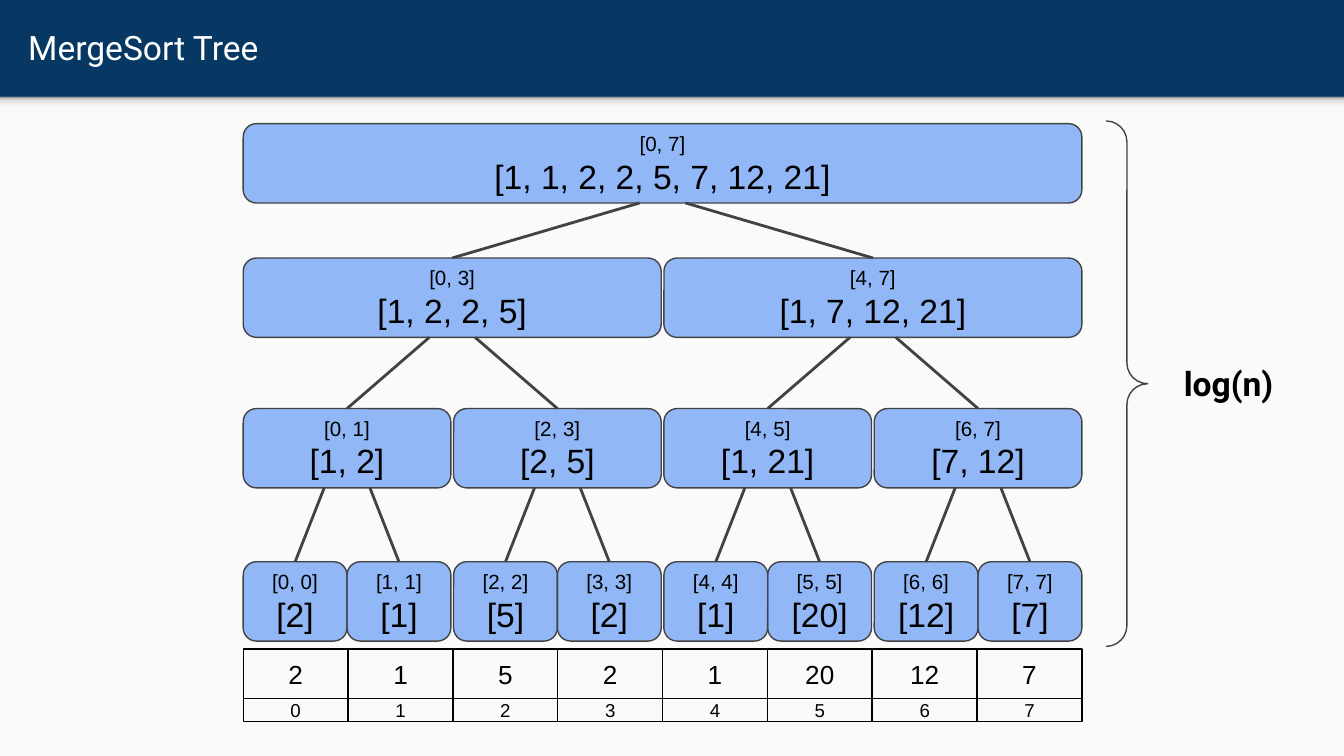
from dataclasses import dataclass

from lxml.etree import SubElement
from pptx import Presentation
from pptx.dml.color import RGBColor
from pptx.enum.shapes import MSO_CONNECTOR, MSO_SHAPE
from pptx.enum.text import MSO_ANCHOR, MSO_AUTO_SIZE, PP_ALIGN
from pptx.oxml.ns import qn
from pptx.util import Inches, Pt


@dataclass(frozen=True)
class Theme:
    header: str = "073763"
    panel: str = "FAFAFA"
    node: str = "4285F4"
    node_opacity: int = 57
    outline: str = "424242"
    text: str = "000000"
    title_text: str = "FFFFFF"
    shadow: tuple = ((0, "F9F9F9"), (36, "F9F9F9"), (80, "DEDEDE"), (100, "999999"))
    heading_font: str = "Roboto"
    body_font: str = "Arial"
    large: int = 18
    value: int = 14
    interval: int = 11
    index: int = 10
    thin: float = 0.75
    thick: float = 1.5


# Each level lists the sorted contents of its nodes, from the root to the leaves.
LEVELS = [
    (0.92, ["[1, 1, 2, 2, 5, 7, 12, 21]"]),
    (1.92, ["[1, 2, 2, 5]", "[1, 7, 12, 21]"]),
    (3.04, ["[1, 2]", "[2, 5]", "[1, 21]", "[7, 12]"]),
    (4.18, ["[2]", "[1]", "[5]", "[2]", "[1]", "[20]", "[12]", "[7]"]),
]
ARRAY = [2, 1, 5, 2, 1, 20, 12, 7]
SLIDE_WIDTH = 10
SLIDE_HEIGHT = SLIDE_WIDTH * 9 / 16
HEADER_HEIGHT = 0.72
TREE_LEFT, TREE_WIDTH = 1.81, 6.26
NODE_HEIGHT, NODE_GAP = 0.59, 0.02
EDGE_OFFSET = 0.17
CELL_WIDTH = 0.78


def write_text(shape, lines, *, font, color, bold=False,
               align=PP_ALIGN.CENTER, anchor=MSO_ANCHOR.MIDDLE, wrap=True):
    """Fill a shape with one paragraph for each (text, size) pair."""
    frame = shape.text_frame
    frame.word_wrap = wrap
    frame.vertical_anchor = anchor
    frame.margin_left = frame.margin_right = Inches(0.1)
    frame.margin_top = frame.margin_bottom = Inches(0.1)
    for number, (text, size) in enumerate(lines):
        paragraph = frame.add_paragraph() if number else frame.paragraphs[0]
        paragraph.alignment = align
        run = paragraph.add_run()
        run.text = text
        run.font.name = font
        run.font.size = Pt(size)
        run.font.bold = bold
        run.font.color.rgb = RGBColor.from_string(color)


def node_span(level, index):
    """Return left and width of a node; the leaves split their parent in half."""
    if level == len(LEVELS) - 1:
        left, width = node_span(level - 1, index // 2)
        return left + index % 2 * width / 2, width / 2
    pitch = TREE_WIDTH / 2 ** level
    return TREE_LEFT + index * pitch, pitch - NODE_GAP


def node_center(level, index):
    left, width = node_span(level, index)
    return left + width / 2


class SlideBuilder:
    def __init__(self, slide, theme):
        self.slide = slide
        self.theme = theme

    def background(self):
        fill = self.slide.background.fill
        fill.solid()
        fill.fore_color.rgb = RGBColor.from_string(self.theme.header)

    def shape(self, kind, left, top, width, height, *, fill=None, opacity=100, line=None):
        shape = self.slide.shapes.add_shape(
            kind, Inches(left), Inches(top), Inches(width), Inches(height))
        shape.shadow.inherit = False
        if fill:
            shape.fill.solid()
            shape.fill.fore_color.rgb = RGBColor.from_string(fill)
        else:
            shape.fill.background()
        if opacity < 100:
            color = shape._element.spPr.find(qn("a:solidFill"))[0]
            SubElement(color, qn("a:alpha"), val=str(opacity * 1000))
        if line:
            shape.line.color.rgb = RGBColor.from_string(line)
            shape.line.width = Pt(self.theme.thin)
        else:
            shape.line.fill.background()
        return shape

    def header_shadow(self, left, top, width, height):
        shape = self.shape(MSO_SHAPE.RECTANGLE, left, top, width, height)
        shape.fill.gradient()
        shape.fill.gradient_angle = 90
        stops = shape._element.spPr.find(qn("a:gradFill")).find(qn("a:gsLst"))
        for stop in list(stops):
            stops.remove(stop)
        for position, color in self.theme.shadow:
            stop = SubElement(stops, qn("a:gs"), pos=str(position * 1000))
            SubElement(stop, qn("a:srgbClr"), val=color)

    def title(self, text, left, top, width, height):
        title = self.slide.shapes.title
        title.left, title.top = Inches(left), Inches(top)
        title.width, title.height = Inches(width), Inches(height)
        title.text_frame.auto_size = MSO_AUTO_SIZE.NONE
        write_text(title, [(text, self.theme.large)], font=self.theme.heading_font,
                   color=self.theme.title_text, align=PP_ALIGN.LEFT)

    def label(self, text, left, top, width, height):
        box = self.slide.shapes.add_textbox(
            Inches(left), Inches(top), Inches(width), Inches(height))
        write_text(box, [(text, self.theme.large)], font=self.theme.heading_font,
                   color=self.theme.text, bold=True, align=PP_ALIGN.LEFT,
                   anchor=MSO_ANCHOR.TOP, wrap=False)

    def brace(self, left, top, width, height):
        brace = self.shape(MSO_SHAPE.RIGHT_BRACE, left, top, width, height,
                           line=self.theme.outline)
        brace.adjustments[0] = brace.adjustments[1] = 0.5

    def cell(self, text, size, left, top, height):
        cell = self.shape(MSO_SHAPE.RECTANGLE, left, top, CELL_WIDTH, height,
                          line=self.theme.text)
        write_text(cell, [(text, size)], font=self.theme.body_font, color=self.theme.text)

    def edge(self, start_x, start_y, end_x, end_y):
        edge = self.slide.shapes.add_connector(
            MSO_CONNECTOR.STRAIGHT,
            Inches(start_x), Inches(start_y), Inches(end_x), Inches(end_y))
        edge.line.color.rgb = RGBColor.from_string(self.theme.outline)
        edge.line.width = Pt(self.theme.thick)
        SubElement(edge._element.spPr, qn("a:effectLst"))

    def node(self, interval, values, left, top, width):
        node = self.shape(MSO_SHAPE.ROUNDED_RECTANGLE, left, top, width, NODE_HEIGHT,
                          fill=self.theme.node, opacity=self.theme.node_opacity,
                          line=self.theme.outline)
        write_text(node, [(interval, self.theme.interval), (values, self.theme.large)],
                   font=self.theme.body_font, color=self.theme.text)

    def tree(self):
        for level, (top, contents) in enumerate(LEVELS):
            covered = len(ARRAY) // len(contents)
            for index, values in enumerate(contents):
                first = index * covered
                left, width = node_span(level, index)
                if level:
                    parent_top = LEVELS[level - 1][0]
                    side = EDGE_OFFSET if index % 2 else -EDGE_OFFSET
                    self.edge(node_center(level - 1, index // 2) + side,
                              parent_top + NODE_HEIGHT, left + width / 2, top)
                self.node(f"[{first}, {first + covered - 1}]", values, left, top, width)

    def array(self):
        for index, value in enumerate(ARRAY):
            left = TREE_LEFT + index * CELL_WIDTH
            self.cell(str(value), self.theme.value, left, 4.83, 0.37)
            self.cell(str(index), self.theme.index, left, 5.2, 0.17)


def main():
    presentation = Presentation()
    presentation.slide_width = Inches(SLIDE_WIDTH)
    presentation.slide_height = Inches(SLIDE_HEIGHT)
    slide = presentation.slides.add_slide(presentation.slide_layouts[5])
    builder = SlideBuilder(slide, Theme())
    builder.background()
    builder.shape(MSO_SHAPE.RECTANGLE, 0, HEADER_HEIGHT, SLIDE_WIDTH,
                  SLIDE_HEIGHT - HEADER_HEIGHT, fill=builder.theme.panel)
    builder.header_shadow(0, HEADER_HEIGHT, SLIDE_WIDTH, 0.12)
    builder.title("MergeSort Tree", 0.11, 0.02, 9.65, 0.66)
    builder.brace(8.23, 0.9, 0.31, 3.91)
    builder.label("log(n)", 8.71, 2.6, 0.87, 0.5)
    builder.array()
    builder.tree()
    presentation.save("out.pptx")


if __name__ == "__main__":
    main()
